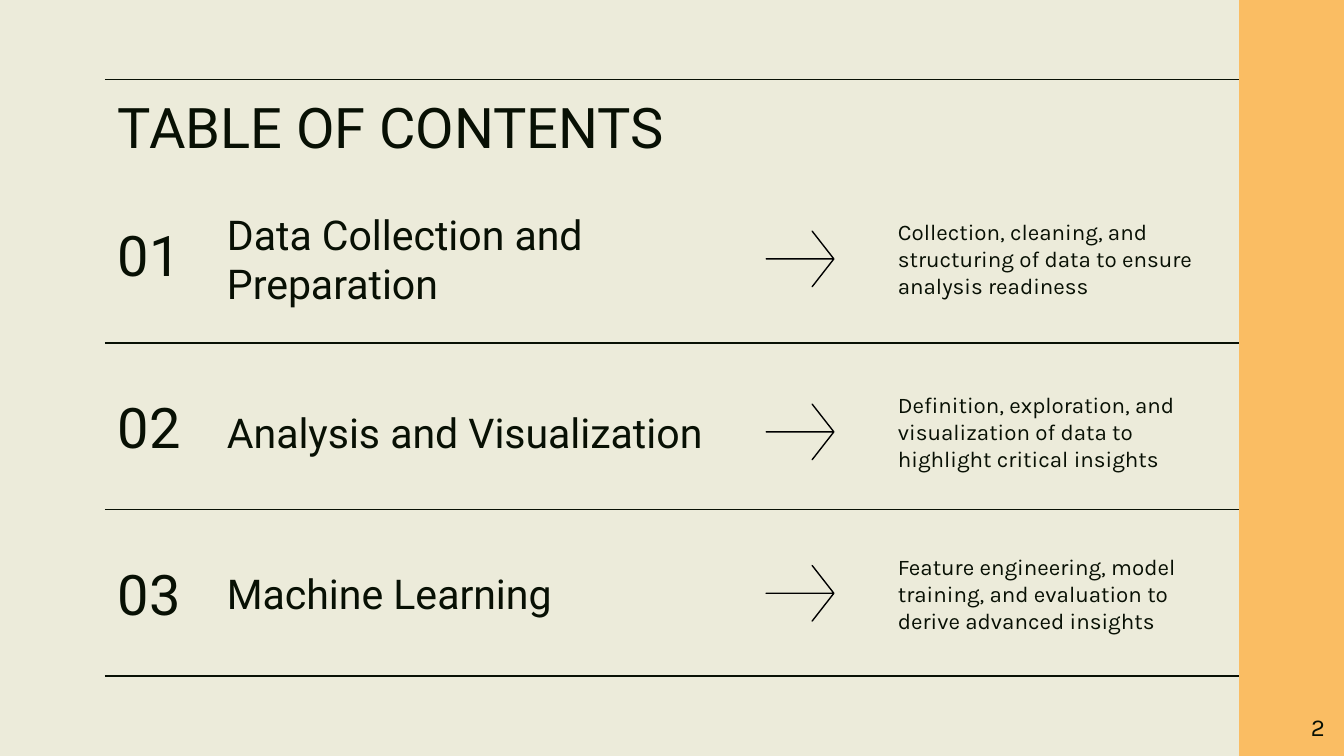
from lxml import etree
from pptx import Presentation
from pptx import util as u
from pptx.dml.color import RGBColor
from pptx.enum import shapes, text
from pptx.oxml.ns import qn

COLORS = {"background": "ECEBDA", "band": "FABD63", "ink": "081004", "arrow": "000000"}
HEADING_FONT, BODY_FONT = "Roboto", "Karla"
WIDTH, HEIGHT = 25.4, 14.29
LEFT, BAND_LEFT = 1.98, 23.42
ROW_HEIGHT = 1.25
RULE_TOPS = [1.5] + [6.48 + 3.15 * index for index in range(3)]

# Row top, number offset, number, heading, description
CHAPTERS = [
    (4.27, -0.1, "01", "Data Collection and Preparation",
     "Collection, cleaning, and structuring of data to ensure analysis readiness"),
    (7.54, -0.1, "02", "Analysis and Visualization",
     "Definition, exploration, and visualization of data to highlight critical insights"),
    (10.59, 0, "03", "Machine Learning",
     "Feature engineering, model training, and evaluation to derive advanced insights"),
]


def color(name):
    return RGBColor.from_string(COLORS[name])


def add_text(slide, box, content, size, font_name,
             anchor=text.MSO_ANCHOR.MIDDLE, alignment=text.PP_ALIGN.LEFT):
    shape = slide.shapes.add_textbox(*map(u.Cm, box))
    frame = shape.text_frame
    frame.text = content
    frame.word_wrap = True
    frame.vertical_anchor = anchor
    frame.margin_left = frame.margin_right = u.Cm(0.25)
    frame.margin_top = frame.margin_bottom = u.Cm(0.25)
    paragraph = frame.paragraphs[0]
    paragraph.alignment = alignment
    font = paragraph.runs[0].font
    font.size, font.name = u.Pt(size), font_name
    font.color.rgb = color("ink")


def add_rule(slide, left, top, width):
    line = slide.shapes.add_connector(
        shapes.MSO_CONNECTOR.STRAIGHT, u.Cm(left), u.Cm(top), u.Cm(left + width), u.Cm(top))
    line.line.color.rgb = color("ink")
    line.line.width = u.Pt(0.75)
    etree.SubElement(line._element.spPr, qn("a:effectLst"))


def add_arrow(slide, box):
    """Draw a thin open-headed arrow pointing right that fills the box."""
    left, top, width, height = box
    middle, right, head = top + height / 2, left + width, left + 0.68 * width
    points = [(head, top), (right, middle), (left, middle),
              (right, middle), (head, top + height), (right, middle)]
    points = [(u.Cm(x), u.Cm(y)) for x, y in points]
    builder = slide.shapes.build_freeform(*points[0])
    builder.add_line_segments(points[1:], close=True)
    arrow = builder.convert_to_shape()
    arrow.shadow.inherit = False
    arrow.fill.solid()
    arrow.fill.fore_color.rgb = color("arrow")
    arrow.line.color.rgb = color("arrow")
    arrow.line.width = u.Pt(0.75)


def add_side_band(slide, box, page_number):
    left, top, width, height = box
    band = slide.shapes.add_shape(shapes.MSO_SHAPE.RECTANGLE, *map(u.Cm, box))
    band.shadow.inherit = False
    band.fill.solid()
    band.fill.fore_color.rgb = color("band")
    band.line.fill.background()
    add_text(slide, (left + 0.35, top + height - 1.09, 1.52, 1.09), page_number,
             13, BODY_FONT, alignment=text.PP_ALIGN.RIGHT)


def add_chapter(slide, box, number_offset, number, heading, description):
    left, top, width, height = box
    add_text(slide, (left, top + number_offset, 2.03, height), number, 30, HEADING_FONT)
    add_text(slide, (left + 2.06, top, 10.31, height), heading, 22, HEADING_FONT)
    add_arrow(slide, (left + 12.5, top + 0.1, 1.28, 1.05))
    add_text(slide, (left + width - 6.7, top, 6.4, height), description, 12, BODY_FONT)


def main():
    presentation = Presentation()
    presentation.slide_width, presentation.slide_height = u.Cm(WIDTH), u.Cm(HEIGHT)
    slide = presentation.slides.add_slide(presentation.slide_layouts[6])
    slide.background.fill.solid()
    slide.background.fill.fore_color.rgb = color("background")

    content_width = BAND_LEFT - LEFT
    add_side_band(slide, (BAND_LEFT, 0, WIDTH - BAND_LEFT, HEIGHT), "2")
    add_text(slide, (LEFT, RULE_TOPS[0], content_width, 1.6), "TABLE OF CONTENTS",
             30, HEADING_FONT, anchor=text.MSO_ANCHOR.TOP)
    for top, *details in CHAPTERS:
        add_chapter(slide, (LEFT, top, content_width, ROW_HEIGHT), *details)
    for top in RULE_TOPS:
        add_rule(slide, LEFT, top, content_width)
    presentation.save("out.pptx")


if __name__ == "__main__":
    main()
